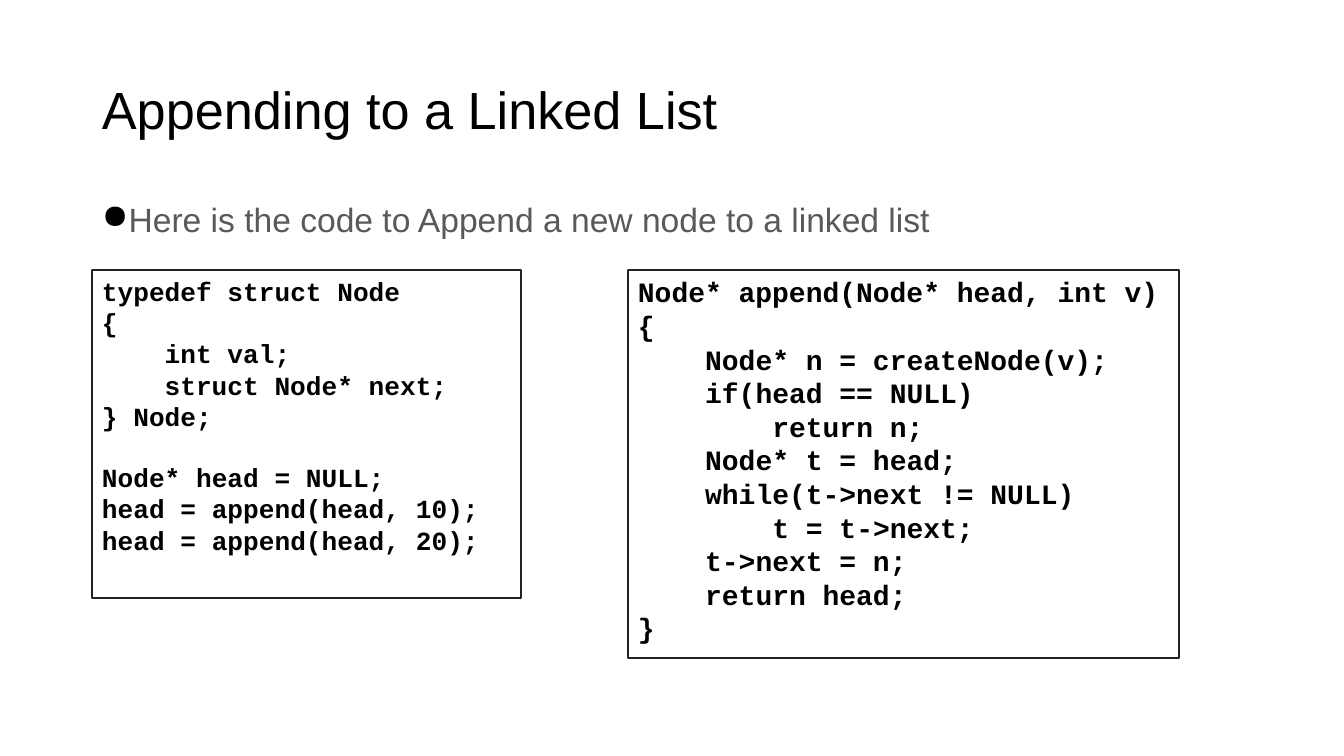
from dataclasses import dataclass

from lxml import etree
from pptx import Presentation
from pptx.dml.color import RGBColor
from pptx.enum.shapes import MSO_SHAPE
from pptx.enum.text import MSO_ANCHOR, PP_ALIGN
from pptx.oxml.ns import qn
from pptx.util import Pt

RECTANGLE = MSO_SHAPE.RECTANGLE
TOP, MIDDLE = MSO_ANCHOR.TOP, MSO_ANCHOR.MIDDLE
LEFT = PP_ALIGN.LEFT


@dataclass(frozen=True)
class Theme:
    sans: str = "Arial"
    mono: str = "Courier New"
    black: str = "000000"
    gray: str = "595959"
    border: str = "212121"
    white: str = "FFFFFF"
    title_size: int = 28
    body_size: int = 18
    usage_size: int = 14
    append_size: int = 15


THEME = Theme()

TITLE = "Appending to a Linked List"
INTRO = "Here is the code to Append a new node to a linked list"

# Each code line is (indent level, text); each block of lines follows a gap.
APPEND_CODE = [
    [
        (0, "Node* append(Node* head, int v)"),
        (0, "{"),
        (1, "Node* n = createNode(v);"),
        (1, "if(head == NULL)"),
        (2, "return n;"),
        (1, "Node* t = head;"),
        (1, "while(t->next != NULL)"),
        (2, "t = t->next;"),
        (1, "t->next = n;"),
        (1, "return head;"),
        (0, "}"),
    ],
]
USAGE_CODE = [
    [
        (0, "typedef struct Node"),
        (0, "{"),
        (1, "int val;"),
        (1, "struct Node* next;"),
        (0, "} Node;"),
    ],
    [
        (0, "Node* head = NULL;"),
        (0, "head = append(head, 10);"),
        (0, "head = append(head, 20);"),
    ],
]

# Lengths in px
PAGE_SIZE = (1344, 756)
MARGIN, CONTENT_WIDTH = 92, 1159
CODE_TOP = 270
TITLE_AREA = (MARGIN, 40, CONTENT_WIDTH, 146)
INTRO_AREA = (MARGIN, 202, CONTENT_WIDTH, 47)
USAGE_AREA = (MARGIN, CODE_TOP, 429, 328)
APPEND_AREA = (628, CODE_TOP, 551, 388)
INSET_X, INSET_Y = 10, 5
BULLET_INDENT = 25

# Proportions of the monospaced font, relative to its size
CHAR_WIDTH, LINE_HEIGHT, TAB_CHARS = 0.6, 1.13, 4


def px(length):
    return round(length * 914400 / 134.4)


def color(code):
    return RGBColor.from_string(code)


def prepare_frame(shape, anchor=TOP):
    frame = shape.text_frame
    frame.word_wrap = True
    frame.vertical_anchor = anchor
    frame.margin_left = frame.margin_right = px(INSET_X)
    frame.margin_top = frame.margin_bottom = px(INSET_Y)
    return frame


def style_paragraph(paragraph, font, size, ink, bold=False):
    paragraph.alignment = LEFT
    for span in paragraph.runs:
        span.font.name = font
        span.font.size = Pt(size)
        span.font.bold = bold
        span.font.color.rgb = color(ink)


def add_text(page, area, text, size, ink, spacing, anchor=TOP):
    box = page.shapes.add_textbox(*map(px, area))
    frame = prepare_frame(box, anchor)
    frame.text = text
    paragraph = frame.paragraphs[0]
    paragraph.line_spacing = spacing
    style_paragraph(paragraph, THEME.sans, size, ink)
    return paragraph


def add_bullet(paragraph, symbol, ink):
    properties = paragraph._p.get_or_add_pPr()
    properties.set("marL", str(px(BULLET_INDENT)))
    properties.set("indent", str(-px(BULLET_INDENT)))
    bullet_color = etree.SubElement(properties, qn("a:buClr"))
    etree.SubElement(bullet_color, qn("a:srgbClr"), val=ink)
    etree.SubElement(properties, qn("a:buChar"), char=symbol)


def add_code(page, area, blocks, size):
    """Draw a bordered listing with an empty line's height between blocks."""
    box = page.shapes.add_shape(RECTANGLE, *map(px, area))
    box.shadow.inherit = False
    box.fill.solid()
    box.fill.fore_color.rgb = color(THEME.white)
    box.line.color.rgb = color(THEME.border)
    box.line.width = Pt(1)
    frame = prepare_frame(box)

    lines = [line for block in blocks for line in block]
    frame.text = "\n".join(text for _, text in lines)
    for paragraph, (level, _) in zip(frame.paragraphs, lines):
        style_paragraph(paragraph, THEME.mono, size, THEME.black, bold=True)
        indent = Pt(level * TAB_CHARS * CHAR_WIDTH * size)
        paragraph._p.get_or_add_pPr().set("marL", str(indent))

    start = 0
    for block in blocks[:-1]:
        start += len(block)
        frame.paragraphs[start].space_before = Pt(LINE_HEIGHT * size)


def main():
    deck = Presentation()
    deck.slide_width, deck.slide_height = map(px, PAGE_SIZE)
    page = deck.slides.add_slide(deck.slide_layouts[6])

    add_text(page, TITLE_AREA, TITLE, THEME.title_size, THEME.black, 0.9, MIDDLE)
    intro = add_text(page, INTRO_AREA, INTRO, THEME.body_size, THEME.gray, 0.8)
    add_bullet(intro, "●", THEME.black)
    add_code(page, APPEND_AREA, APPEND_CODE, THEME.append_size)
    add_code(page, USAGE_AREA, USAGE_CODE, THEME.usage_size)

    deck.save("out.pptx")


if __name__ == "__main__":
    main()
